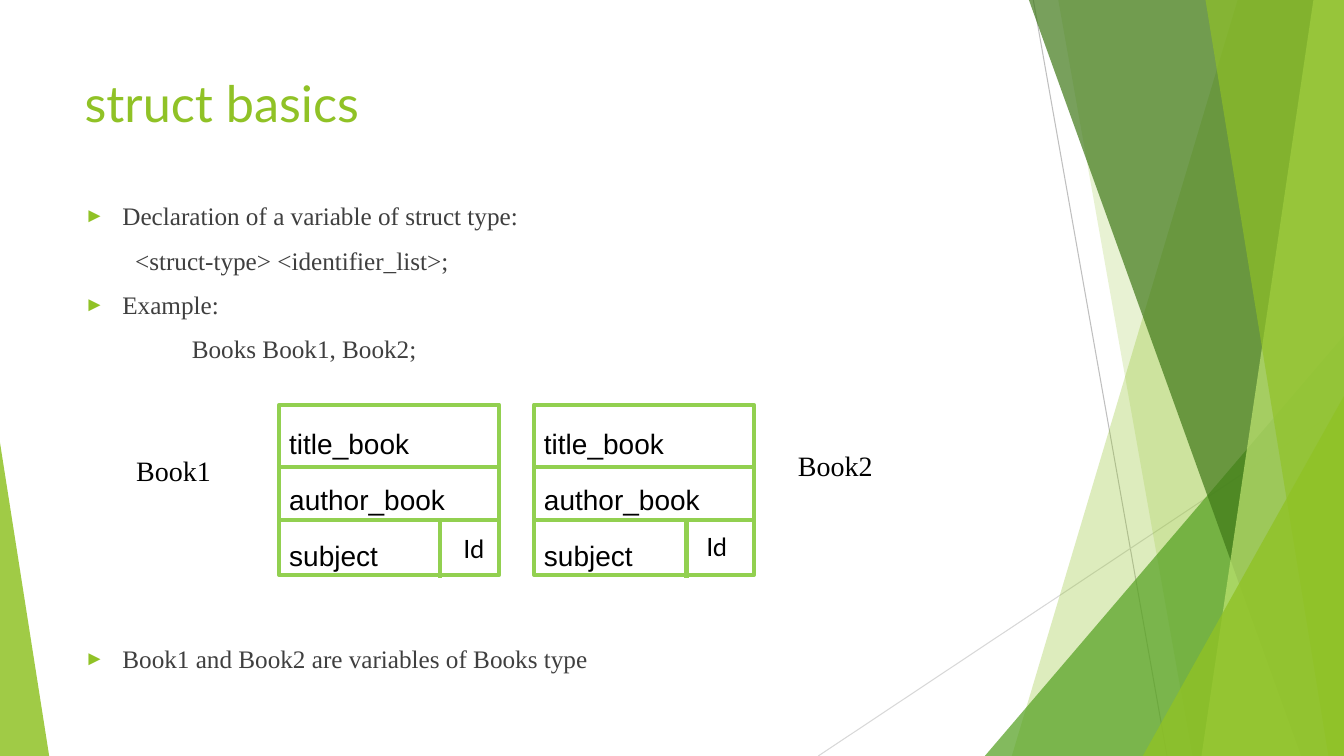
from dataclasses import dataclass

from lxml import etree
from pptx import Presentation
from pptx.dml.color import RGBColor
from pptx.enum.shapes import MSO_CONNECTOR, MSO_SHAPE
from pptx.enum.text import MSO_ANCHOR, MSO_AUTO_SIZE, PP_ALIGN
from pptx.oxml.ns import qn
from pptx.util import Cm, Pt

STRAIGHT = MSO_CONNECTOR.STRAIGHT
RECTANGLE = MSO_SHAPE.RECTANGLE
TRIANGLE = MSO_SHAPE.ISOSCELES_TRIANGLE
LEFT = PP_ALIGN.LEFT
TOP = MSO_ANCHOR.TOP
NO_AUTOSIZE = MSO_AUTO_SIZE.NONE


@dataclass(frozen=True)
class Theme:
    accent: str = "90C226"
    leaf: str = "54A021"
    forest: str = "3F7818"
    lime: str = "BFE471"
    border: str = "92D050"
    body: str = "3F3F3F"
    ink: str = "000000"
    gray: str = "BFBFBF"
    pale_gray: str = "D8D8D8"
    heading_font: str = "Lato"
    text_font: str = "Times New Roman"
    field_font: str = "Arial"
    title_size: int = 36
    label_size: int = 20
    body_size: int = 18


theme = Theme()
WIDTH, HEIGHT = 33.87, 19.05

presentation = Presentation()
presentation.slide_width, presentation.slide_height = Cm(WIDTH), Cm(HEIGHT)
slide = presentation.slides.add_slide(presentation.slide_layouts[1])
shapes = slide.shapes


def add_line(x1, y1, x2, y2, color, width):
    line = shapes.add_connector(STRAIGHT, Cm(x1), Cm(y1), Cm(x2), Cm(y2))
    line.line.color.rgb = RGBColor.from_string(color)
    line.line.width = Pt(width)
    etree.SubElement(line._element.spPr, qn("a:effectLst"))


def style_font(paragraph, name, size, color):
    paragraph.font.name = name
    paragraph.font.size = Pt(size)
    paragraph.font.color.rgb = RGBColor.from_string(color)


add_line(26.04, 0, 29.41, HEIGHT, theme.gray, 0.75)
add_line(WIDTH, 10.24, 20.62, HEIGHT, theme.pale_gray, 0.75)

# facet: top-left x, bottom-left x; triangle: left, top, width, apex
decorations = [
    ("facet", (31.19, 25.5), theme.accent, 30),
    ("facet", (26.67, 30.05), theme.accent, 20),
    ("triangle", (24.82, 8.46, 9.05, 1), theme.leaf, 72),
    ("facet", (25.93, 32.79), theme.forest, 70),
    ("facet", (33.1, 30.28), theme.lime, 70),
    ("facet", (30.38, 33.48), theme.accent, 65),
    ("triangle", (28.8, 9.98, 5.07, 1), theme.accent, 80),
    ("triangle", (0, 11.15, 1.24, 0), theme.accent, 85),
]
for kind, geometry, color, opacity in decorations:
    if kind == "facet":
        top_x, bottom_x = geometry
        builder = shapes.build_freeform(Cm(top_x), 0)
        corners = [(WIDTH, 0), (WIDTH, HEIGHT), (bottom_x, HEIGHT)]
        builder.add_line_segments([(Cm(x), Cm(y)) for x, y in corners])
        shape = builder.convert_to_shape()
    else:
        left, top, width, apex = geometry
        shape = shapes.add_shape(TRIANGLE, Cm(left), Cm(top), Cm(width), Cm(HEIGHT - top))
        shape.adjustments[0] = apex
    shape.shadow.inherit = False
    shape.line.fill.background()
    shape.fill.solid()
    shape.fill.fore_color.rgb = RGBColor.from_string(color)
    color_element = shape._element.spPr.find(qn("a:solidFill"))[0]
    etree.SubElement(color_element, qn("a:alpha"), val=str(opacity * 1000))

title, body = shapes.title, slide.placeholders[1]
for placeholder, top, height in [(title, 1.7, 3.66), (body, 4.93, 12.8)]:
    shapes._spTree.append(placeholder._element)
    placeholder.left, placeholder.top = Cm(1.88), Cm(top)
    placeholder.width, placeholder.height = Cm(23.88), Cm(height)
    placeholder.text_frame.vertical_anchor = TOP
    placeholder.text_frame.auto_size = NO_AUTOSIZE
    placeholder.text_frame.word_wrap = True

title.text_frame.text = "struct basics"
title.text_frame.paragraphs[0].alignment = LEFT
style_font(title.text_frame.paragraphs[0], theme.heading_font, theme.title_size, theme.accent)

# text, level, left margin, bulleted, space before
body_lines = [
    ("Declaration of a variable of struct type:", 0, 0.95, True, 0),
    ("<struct-type> <identifier_list>;", 1, 1.27, False, 10),
    ("Example:", 0, 0.95, True, 10),
    ("Books Book1, Book2;", 0, 2.7, False, 10),
    ("Book1 and Book2 are variables of Books type", 0, 0.95, True, 200),
]
body.text_frame.text = "\n".join(line[0] for line in body_lines)
for paragraph, (_, level, margin, bulleted, space) in zip(body.text_frame.paragraphs, body_lines):
    paragraph.level = level
    paragraph.space_before = Pt(space)
    properties = paragraph._p.get_or_add_pPr()
    properties.set("marL", str(Cm(margin)))
    properties.set("indent", str(-Cm(margin) if bulleted else 0))
    if bulleted:
        bullet_color = etree.SubElement(properties, qn("a:buClr"))
        etree.SubElement(bullet_color, qn("a:srgbClr"), val=theme.accent)
        etree.SubElement(properties, qn("a:buSzPct"), val="80000")
        etree.SubElement(properties, qn("a:buChar"), char="►")
    else:
        etree.SubElement(properties, qn("a:buNone"))
    style_font(paragraph, theme.text_font, theme.body_size, theme.body)

BOX_TOP, BOX_WIDTH, BOX_HEIGHT = 10.2, 5.54, 4.29
AUTHOR_TOP, SUBJECT_TOP = 11.77, 13.1
for box_left, id_offset in [(13.46, 3.84), (7.04, 4.04)]:
    box = shapes.add_shape(RECTANGLE, Cm(box_left), Cm(BOX_TOP), Cm(BOX_WIDTH), Cm(BOX_HEIGHT))
    box.shadow.inherit = False
    box.fill.background()
    box.line.color.rgb = RGBColor.from_string(theme.border)
    box.line.width = Pt(3)
    box.text_frame.vertical_anchor = TOP
    box.text_frame.text = "title_book\nauthor_book\nsubject"
    for index, paragraph in enumerate(box.text_frame.paragraphs):
        paragraph.alignment = LEFT
        paragraph.line_spacing = 1.5
        paragraph.space_before = Pt(4 if index else 0)
        style_font(paragraph, theme.field_font, theme.label_size, theme.ink)
    for divider_top in (AUTHOR_TOP, SUBJECT_TOP):
        add_line(box_left, divider_top, box_left + BOX_WIDTH, divider_top, theme.border, 3)
    id_left = box_left + id_offset
    add_line(id_left, SUBJECT_TOP, id_left, SUBJECT_TOP + 1.47, theme.border, 3)

labels = [
    ("Book1", 3.18, 11.3, 2.41, 1.12, theme.text_font, theme.label_size),
    ("Book2", 19.86, 11.18, 2.41, 1.12, theme.text_font, theme.label_size),
    ("Id", 11.43, 13.31, 1.04, 1.02, theme.heading_font, theme.body_size),
    ("Id", 17.55, 13.26, 1.04, 1.02, theme.heading_font, theme.body_size),
]
for text, left, top, width, height, font, size in labels:
    label = shapes.add_textbox(Cm(left), Cm(top), Cm(width), Cm(height))
    label.text_frame.word_wrap = False
    label.text_frame.text = text
    style_font(label.text_frame.paragraphs[0], font, size, theme.ink)

presentation.save("out.pptx")
